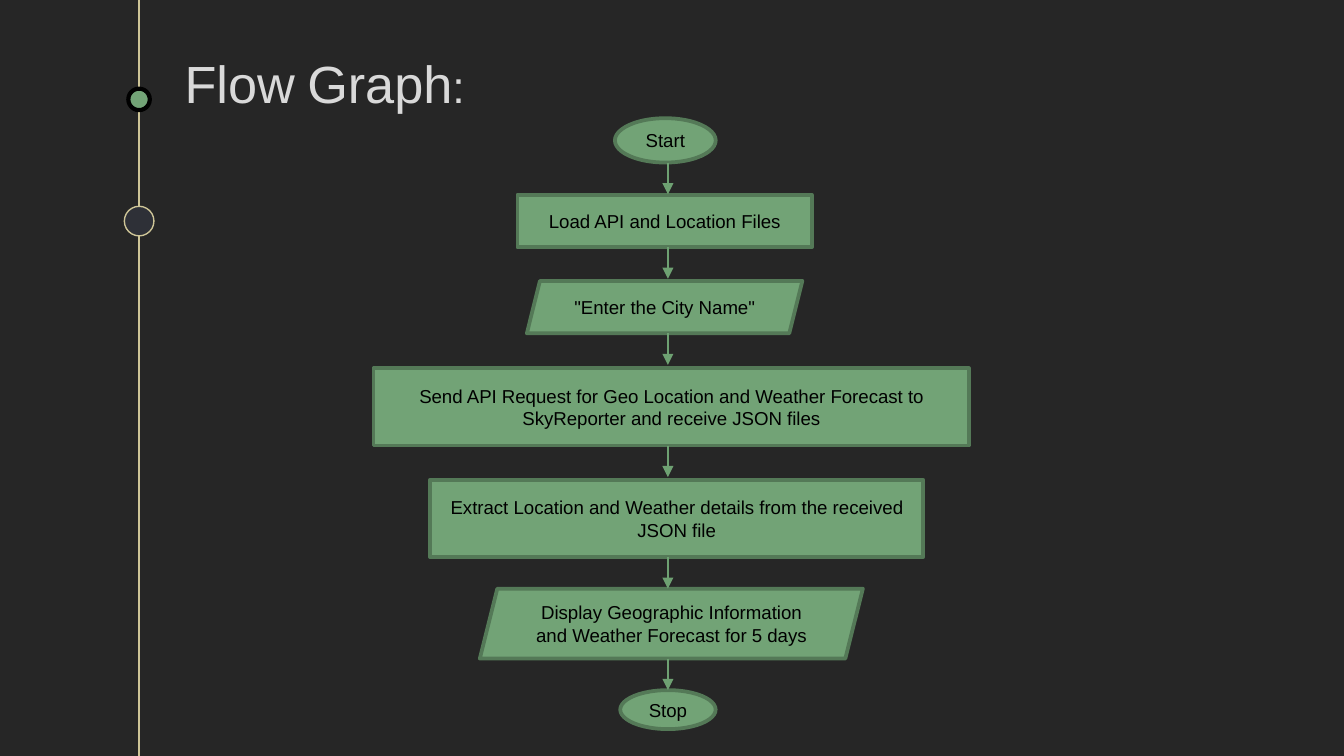
from pptx import Presentation
from pptx.dml.color import RGBColor
from pptx.enum.shapes import MSO_CONNECTOR, MSO_SHAPE
from pptx.enum.text import MSO_ANCHOR, PP_ALIGN
from pptx.oxml.ns import qn
from pptx.util import Inches, Pt
from lxml import etree

OVAL, RECT = MSO_SHAPE.OVAL, MSO_SHAPE.RECTANGLE
SLANT = MSO_SHAPE.PARALLELOGRAM
STRAIGHT = MSO_CONNECTOR.STRAIGHT
CENTER, LEFT = PP_ALIGN.CENTER, PP_ALIGN.LEFT
MIDDLE, BOTTOM = MSO_ANCHOR.MIDDLE, MSO_ANCHOR.BOTTOM

BACKGROUND = RGBColor(0x26, 0x26, 0x26)
GREEN = RGBColor(0x72, 0xA3, 0x76)
DARK_GREEN = RGBColor(0x54, 0x79, 0x57)
ARROW_GREEN = RGBColor(0x6E, 0xA1, 0x72)
SAND = RGBColor(0xCE, 0xC5, 0x97)
SLATE = RGBColor(0x2E, 0x30, 0x37)
LIGHT_GRAY = RGBColor(0xD9, 0xD9, 0xD9)
BLACK = RGBColor(0, 0, 0)

COLS, ROWS = 100, 56.25
CELL = Inches(0.1)
ARROW_COL, ARROW_ROWS = 49.7, 2.35

# kind, left, top, width, height (columns and rows), label
STEPS = [
    (OVAL, 45.75, 8.8, 7.5, 3.3, "Start"),
    (RECT, 38.5, 14.5, 21.9, 3.9, "Load API and Location Files"),
    (SLANT, 39.2, 20.9, 20.5, 3.9, '"Enter the City Name"'),
    (RECT, 27.8, 27.4, 44.3, 5.75,
     "Send API Request for Geo Location and Weather Forecast to "
     "SkyReporter and receive JSON files"),
    (RECT, 32, 35.7, 36.7, 5.75,
     "Extract Location and Weather details from the received JSON file"),
    (SLANT, 35.7, 43.8, 28.5, 5.2,
     "Display Geographic Information and Weather Forecast for 5 days"),
    (OVAL, 46.15, 51.35, 7.1, 2.9, "Stop"),
]


def cells(*counts):
    """Turn grid columns or rows into lengths."""
    return [round(n * CELL) for n in counts]


def write(tf, runs, font="Arial", color=BLACK, align=CENTER, anchor=MIDDLE):
    """Fill a text frame with one paragraph of (text, size) runs."""
    tf.word_wrap = True
    tf.vertical_anchor = anchor
    p = tf.paragraphs[0]
    p.alignment = align
    for text, size in runs:
        r = p.add_run()
        r.text = text
        r.font.name, r.font.size = font, Pt(size)
        r.font.color.rgb = color


class FlowSlide:
    def __init__(self, prs):
        self.s = prs.slides.add_slide(prs.slide_layouts[6])
        fill = self.s.background.fill
        fill.solid()
        fill.fore_color.rgb = BACKGROUND

    def shape(self, kind, box, fill=GREEN, line=DARK_GREEN, weight=2):
        sp = self.s.shapes.add_shape(kind, *cells(*box))
        sp.shadow.inherit = False
        sp.fill.solid()
        sp.fill.fore_color.rgb = fill
        sp.line.color.rgb = line
        sp.line.width = Pt(weight)
        return sp

    def step(self, kind, *box, label):
        sp = self.shape(kind, box)
        write(sp.text_frame, [(label, 10)])

    def title(self, box, runs):
        tf = self.s.shapes.add_textbox(*cells(*box)).text_frame
        tf.margin_top = tf.margin_bottom = CELL
        write(tf, runs, color=LIGHT_GRAY, align=LEFT, anchor=BOTTOM)

    def line(self, col, top, bottom, color, arrow=False):
        """Draw a vertical line down one column."""
        ends = cells(col, top, col, bottom)
        cxn = self.s.shapes.add_connector(STRAIGHT, *ends)
        cxn.line.color.rgb = color
        cxn.line.width = Pt(0.75)
        if arrow:
            ln = cxn.line._get_or_add_ln()
            etree.SubElement(ln, qn("a:tailEnd"), type="triangle")
        etree.SubElement(cxn._element.spPr, qn("a:effectLst"))

    def flow(self, steps):
        """Draw the steps and an arrow down from each one but the last."""
        for *step, label in steps:
            self.step(*step, label=label)
        for _, _, top, _, height, _ in steps[:-1]:
            bottom = top + height
            self.line(ARROW_COL, bottom, bottom + ARROW_ROWS,
                      ARROW_GREEN, arrow=True)


def main():
    prs = Presentation()
    prs.slide_width, prs.slide_height = cells(COLS, ROWS)
    slide = FlowSlide(prs)
    slide.line(10.35, 0, ROWS, SAND)
    slide.shape(OVAL, (9.55, 6.6, 1.6, 1.6), line=BLACK, weight=2.25)
    slide.shape(OVAL, (9.25, 15.35, 2.2, 2.2), SLATE, SAND, 0.75)
    slide.title((12.75, 2.95, 31.5, 6.5),
                [("Flow", 28), (" ", 24), ("Graph", 28), (":", 24)])
    slide.flow(STEPS)
    prs.save("out.pptx")


if __name__ == "__main__":
    main()
